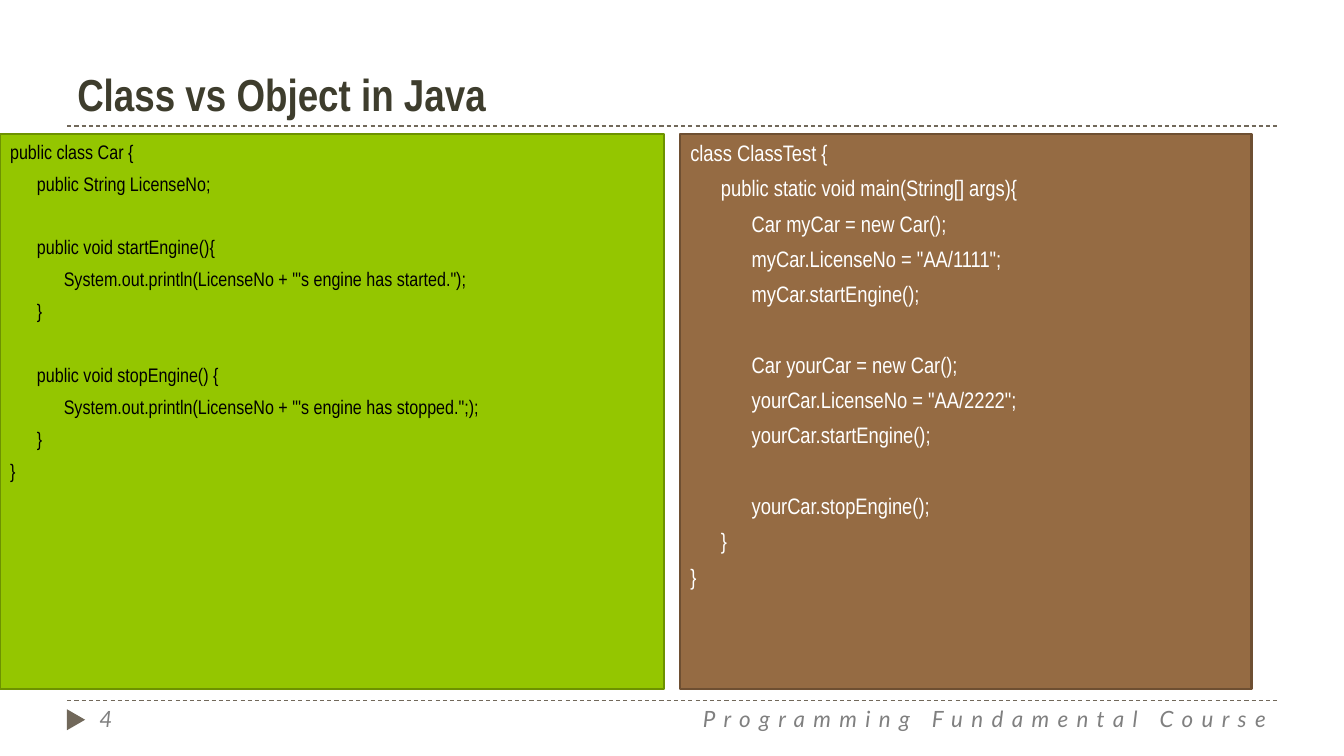
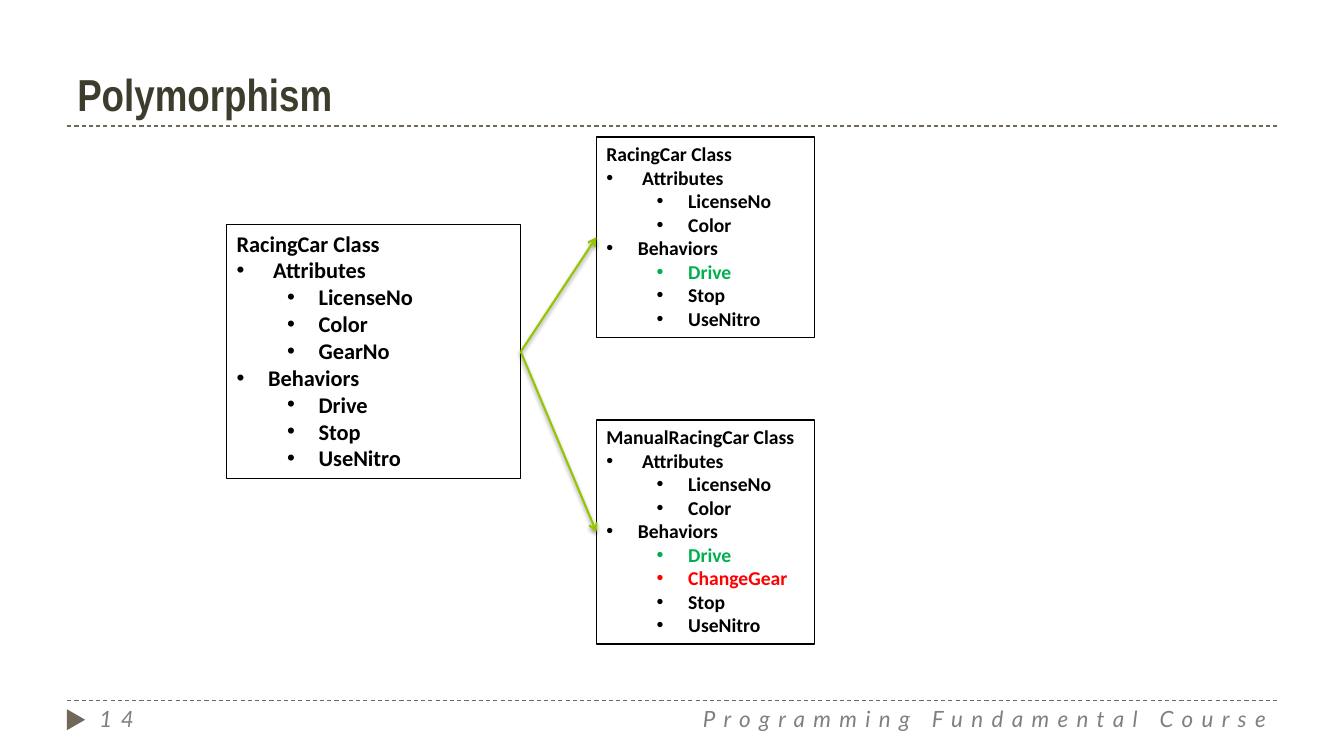
from lxml import etree
from pptx import Presentation
from pptx.dml.color import RGBColor
from pptx.enum.dml import MSO_LINE
from pptx.enum.shapes import MSO_CONNECTOR, MSO_SHAPE
from pptx.enum.text import MSO_ANCHOR, MSO_AUTO_SIZE, PP_ALIGN
from pptx.oxml.ns import qn
from pptx.util import Pt

STRAIGHT = MSO_CONNECTOR.STRAIGHT
RECTANGLE, TRIANGLE = MSO_SHAPE.RECTANGLE, MSO_SHAPE.ISOSCELES_TRIANGLE
LEFT, RIGHT = PP_ALIGN.LEFT, PP_ALIGN.RIGHT
TOP, BOTTOM = MSO_ANCHOR.TOP, MSO_ANCHOR.BOTTOM
FIXED_SIZE, GROW = MSO_AUTO_SIZE.NONE, MSO_AUTO_SIZE.SHAPE_TO_FIT_TEXT
TITLE_AND_CONTENT, TITLE_ONLY = 1, 5
LEFT_SITE, RIGHT_SITE = 1, 3

BLACK, WHITE = "000000", "FFFFFF"
GREEN, DARK_GREEN = "94C600", "6D9200"
BROWN, DARK_BROWN = "956B43", "6E4F32"
TAUPE, GRAY, OLIVE = "71685A", "808080", "3E3D2D"
INHERITED, ADDED = "00B050", "FF0000"

# Each group is a run of (depth, code) lines; a gap separates the groups.
CAR_CODE = [
    [(0, "public class Car {"), (1, "public String LicenseNo;")],
    [(1, "public void startEngine(){"),
     (2, "System.out.println(LicenseNo + \"'s engine has started.\");"),
     (1, "}")],
    [(1, "public void stopEngine() {"),
     (2, "System.out.println(LicenseNo + \"'s engine has stopped.\";);"),
     (1, "}"), (0, "}")],
]
TEST_CODE = [
    [(0, "class ClassTest {"),
     (1, "public static void main(String[] args){"),
     (2, "Car myCar = new Car();"),
     (2, "myCar.LicenseNo = \"AA/1111\";"),
     (2, "myCar.startEngine();")],
    [(2, "Car yourCar = new Car();"),
     (2, "yourCar.LicenseNo = \"AA/2222\";"),
     (2, "yourCar.startEngine();")],
    [(2, "yourCar.stopEngine();"), (1, "}"), (0, "}")],
]


def color(value):
    return RGBColor.from_string(value)


def add_effects(connector):
    """Replace the theme shadow by an empty effect list, and return it."""
    return etree.SubElement(connector._element.spPr, qn("a:effectLst"))


class Deck:
    """Holds the shared style and the slide being built."""

    title_font, code_font = "Arial Narrow", "Arial Narrow"
    class_font, footer_font = "Calibri", "Lato"
    margin, right_edge = 48, 912
    title_rule, footer_rule = 90, 500.4
    footer_text = "Programming Fundamental Course"
    code_spacing = 6
    bullet_hang, bullet_step = 22.5, 36

    def __init__(self):
        self.presentation = Presentation()
        self.presentation.slide_width = Pt(960)
        self.presentation.slide_height = Pt(540)
        self.slide = None

    def add_slide(self, layout, title, number):
        layouts = self.presentation.slide_layouts
        self.slide = self.presentation.slides.add_slide(layouts[layout])
        for y in (self.title_rule, self.footer_rule):
            self.rule(y)
        self.page_marker()
        self.footer(330, 582, self.footer_text, RIGHT)
        self.footer(64, 208, str(number), LEFT)
        self.title(title)

    def place(self, shape, left, top, width, height):
        shape.left, shape.top = Pt(left), Pt(top)
        shape.width, shape.height = Pt(width), Pt(height)

    def text_frame(self, shape, anchor=TOP, auto_size=FIXED_SIZE):
        frame = shape.text_frame
        frame.word_wrap = True
        frame.auto_size = auto_size
        frame.vertical_anchor = anchor
        return frame

    def paragraph(self, frame, first, alignment=LEFT):
        paragraph = frame.paragraphs[0] if first else frame.add_paragraph()
        paragraph.alignment = alignment
        return paragraph

    def run(self, paragraph, text, font, size, text_color, bold=False, italic=False):
        run = paragraph.add_run()
        run.text = text
        run.font.name, run.font.size = font, Pt(size)
        run.font.bold, run.font.italic = bold, italic
        run.font.color.rgb = color(text_color)
        return run

    def indent(self, paragraph, margin, hang=0, bullet=None):
        properties = paragraph._p.get_or_add_pPr()
        properties.set("marL", str(Pt(margin)))
        properties.set("indent", str(-Pt(hang)))
        if bullet:
            etree.SubElement(properties, qn("a:buFont"), typeface="Arial")
            etree.SubElement(properties, qn("a:buChar"), char=bullet)
        else:
            etree.SubElement(properties, qn("a:buNone"))

    def rule(self, y):
        line = self.slide.shapes.add_connector(
            STRAIGHT, Pt(self.margin), Pt(y), Pt(self.right_edge), Pt(y))
        line.line.color.rgb = color(TAUPE)
        line.line.width = Pt(0.75)
        line.line.dash_style = MSO_LINE.DASH
        add_effects(line)

    def page_marker(self):
        marker = self.slide.shapes.add_shape(
            TRIANGLE, Pt(46.8), Pt(507.6), Pt(15), Pt(13))
        marker.rotation = 90
        marker.shadow.inherit = False
        marker.fill.solid()
        marker.fill.fore_color.rgb = color(TAUPE)
        marker.line.fill.background()

    def footer(self, left, width, text, alignment):
        box = self.slide.shapes.add_textbox(
            Pt(left), Pt(self.footer_rule), Pt(width), Pt(28.8))
        paragraph = self.paragraph(self.text_frame(box), True, alignment)
        run = self.run(paragraph, text, self.footer_font, 16, GRAY, italic=True)
        run._r.get_or_add_rPr().set("spc", "600")

    def title(self, text):
        title = self.slide.shapes.title
        self.place(title, self.margin, 0, 714, self.title_rule)
        paragraph = self.paragraph(self.text_frame(title, BOTTOM), True)
        self.run(paragraph, text, self.title_font, 32, OLIVE, bold=True)

    def rectangle(self, left, top, width, height):
        shape = self.slide.shapes.add_shape(
            RECTANGLE, Pt(left), Pt(top), Pt(width), Pt(height))
        shape.shadow.inherit = False
        return shape

    def code_panel(self, shape, groups, size, fill, outline, text_color):
        shape.fill.solid()
        shape.fill.fore_color.rgb = color(fill)
        shape.line.color.rgb = color(outline)
        shape.line.width = Pt(1.5)
        frame = self.text_frame(shape)
        indent_step = 1.37 * size
        line_pitch = 1.2 * size + self.code_spacing
        for group_index, group in enumerate(groups):
            for line_index, (depth, code) in enumerate(group):
                first = group_index == line_index == 0
                paragraph = self.paragraph(frame, first)
                gap = line_pitch if line_index == 0 and not first else 0
                paragraph.space_before = Pt(self.code_spacing + gap)
                self.indent(paragraph, depth * indent_step)
                self.run(paragraph, code, self.code_font, size, text_color)

    def class_box(self, position, name, size, attributes, behaviors, highlights=None):
        """Outline a class; highlights maps a member to its text colour."""
        highlights = highlights or {}
        shape = self.rectangle(*position)
        shape.fill.background()
        shape.line.color.rgb = color(BLACK)
        shape.line.width = Pt(1)
        frame = self.text_frame(shape, auto_size=GROW)
        heading = self.paragraph(frame, True)
        self.run(heading, name, self.class_font, size, BLACK, bold=True)
        entries = [(0, " Attributes"), *((1, member) for member in attributes),
                   (0, "Behaviors"), *((1, member) for member in behaviors)]
        for level, text in entries:
            paragraph = self.paragraph(frame, False)
            paragraph.level = level
            margin = self.bullet_hang + level * self.bullet_step
            self.indent(paragraph, margin, self.bullet_hang, "•")
            self.run(paragraph, text, self.class_font, size,
                     highlights.get(text, BLACK), bold=True)
        return shape

    def arrow(self, source, target):
        arrow = self.slide.shapes.add_connector(STRAIGHT, 0, 0, 0, 0)
        arrow.begin_connect(source, RIGHT_SITE)
        arrow.end_connect(target, LEFT_SITE)
        arrow.line.color.rgb = color(GREEN)
        arrow.line.width = Pt(1.5)
        etree.SubElement(arrow.line._get_or_add_ln(), qn("a:tailEnd"), type="arrow")
        shadow = etree.SubElement(
            add_effects(arrow), qn("a:outerShdw"), blurRad=str(Pt(3)),
            dist=str(Pt(2)), dir="5400000", rotWithShape="0")
        shade = etree.SubElement(shadow, qn("a:srgbClr"), val=BLACK)
        etree.SubElement(shade, qn("a:alpha"), val="40000")


def build_class_and_object(deck):
    deck.add_slide(TITLE_AND_CONTENT, "Class vs Object in Java", 4)
    body = deck.slide.placeholders[1]
    deck.place(body, 0, 96, 474, 396)
    deck.code_panel(body, CAR_CODE, 14, GREEN, DARK_GREEN, BLACK)
    test_panel = deck.rectangle(486, 96, 408, 396)
    deck.code_panel(test_panel, TEST_CODE, 16, BROWN, DARK_BROWN, WHITE)


def build_polymorphism(deck):
    deck.add_slide(TITLE_ONLY, "Polymorphism", 14)
    attributes = ["LicenseNo", "Color"]
    behaviors = ["Drive", "Stop", "UseNitro"]
    general = deck.class_box((162, 160.5, 210, 181.5), "RacingCar Class", 16,
                             attributes + ["GearNo"], behaviors)
    racing = deck.class_box((426, 98, 156, 143), "RacingCar Class", 14,
                            attributes, behaviors, {"Drive": INHERITED})
    manual = deck.class_box((426, 300, 156, 160), "ManualRacingCar Class", 14,
                            attributes, ["Drive", "ChangeGear", "Stop", "UseNitro"],
                            {"Drive": INHERITED, "ChangeGear": ADDED})
    for target in (racing, manual):
        deck.arrow(general, target)


def main():
    deck = Deck()
    build_class_and_object(deck)
    build_polymorphism(deck)
    deck.presentation.save("out.pptx")


if __name__ == "__main__":
    main()
